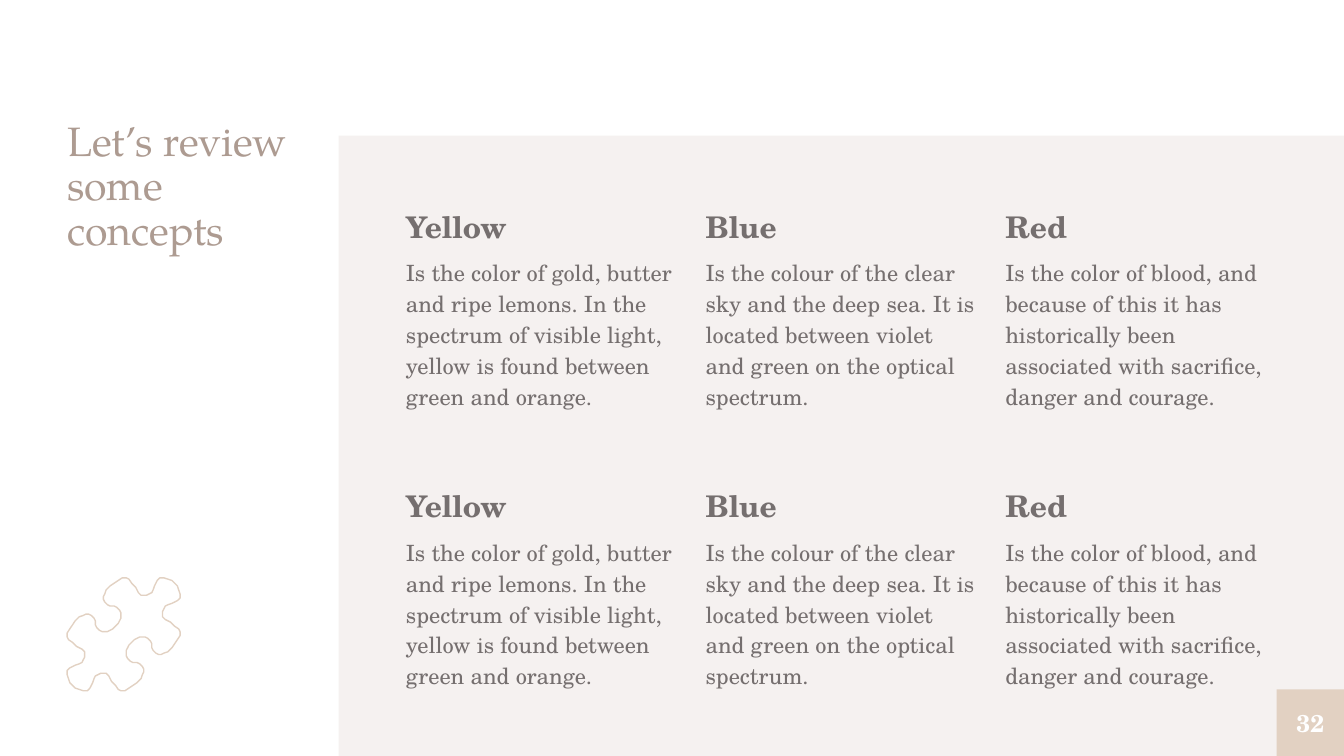
from pptx import Presentation
from pptx.dml.color import RGBColor
from pptx.enum.shapes import MSO_SHAPE
from pptx.enum.text import MSO_ANCHOR, MSO_AUTO_SIZE, PP_ALIGN
from pptx.util import Inches, Pt

RECTANGLE = MSO_SHAPE.RECTANGLE
TOP, MIDDLE = MSO_ANCHOR.TOP, MSO_ANCHOR.MIDDLE
LEFT, CENTER = PP_ALIGN.LEFT, PP_ALIGN.CENTER
NO_FIT = MSO_AUTO_SIZE.NONE

COLORS = {
    "panel": "F5F1F0",
    "title": "AD9B91",
    "text": "756F6F",
    "accent": "E2D1C2",
    "white": "FFFFFF",
}
SERIF, BODY = "TeX Gyre Pagella", "TeX Gyre Schola"

CONCEPTS = [
    ("Yellow", "Is the color of gold, butter and ripe lemons. In the spectrum of "
     "visible light, yellow is found between green and orange."),
    ("Blue", "Is the colour of the clear sky and the deep sea. It is located "
     "between violet and green on the optical spectrum."),
    ("Red", "Is the color of blood, and because of this it has historically been "
     "associated with sacrifice, danger and courage."),
]

PUZZLE_QUARTER = [
    (38, -38), (36, -40), (33, -41), (30, -42), (27, -42), (25, -40), (24, -38),
    (23, -36), (22, -33), (21, -31), (19, -30), (17, -29), (15, -29), (13, -29),
    (11, -31), (9, -35), (6, -38), (4, -41), (2, -42), (0, -42), (-1, -42),
    (-4, -40), (-7, -38), (-10, -36), (-13, -33), (-14, -30), (-15, -28),
    (-15, -26), (-14, -24), (-12, -22), (-10, -21), (-7, -21), (-5, -20),
    (-3, -18), (-2, -16), (-2, -14), (-2, -12), (-3, -10), (-4, -8), (-6, -6),
]


def set_text(shape, paragraphs, anchor=TOP):
    frame = shape.text_frame
    settings = {"margin_left": 0, "margin_top": 0, "margin_right": 0,
                "margin_bottom": 0, "word_wrap": True, "auto_size": NO_FIT,
                "vertical_anchor": anchor}
    for name, value in settings.items():
        setattr(frame, name, value)
    for index, (text, color, layout, font) in enumerate(paragraphs):
        para = frame.add_paragraph() if index else frame.paragraphs[0]
        for name, value in layout.items():
            setattr(para, name, value)
        span = para.add_run()
        span.text = text
        for name, value in font.items():
            setattr(span.font, name, value)
        span.font.color.rgb = RGBColor.from_string(COLORS[color])


def add_block(page, left, top, width, height, color):
    block = page.shapes.add_shape(
        RECTANGLE, Inches(left), Inches(top), Inches(width), Inches(height))
    block.shadow.inherit = False
    block.fill.solid()
    block.fill.fore_color.rgb = RGBColor.from_string(COLORS[color])
    block.line.fill.background()
    return block


deck = Presentation()
deck.slide_width = Inches(10)
deck.slide_height = Inches(10 * 9 / 16)
page = deck.slides.add_slide(deck.slide_layouts[5])

add_block(page, 2.52, 1.01, 7.48, 4.62, "panel")

title = page.shapes.title
title.left, title.top = Inches(0.5), Inches(0.9)
title.width, title.height = Inches(1.78), Inches(4.23)
set_text(title, [("Let’s review some concepts", "title",
                  {"alignment": LEFT, "line_spacing": 0.9, "space_before": Pt(0)},
                  {"name": SERIF, "size": Pt(22), "bold": False})])

half = PUZZLE_QUARTER + [(y, x) for x, y in reversed(PUZZLE_QUARTER)]
outline = half + [(-x, -y) for x, y in half]
builder = page.shapes.build_freeform(*outline[0], scale=Inches(0.01))
builder.add_line_segments(outline[1:], close=True)
puzzle = builder.convert_to_shape(Inches(0.92), Inches(4.72))
puzzle.shadow.inherit = False
puzzle.fill.background()
puzzle.line.color.rgb = RGBColor.from_string(COLORS["accent"])
puzzle.line.width = Pt(0.75)

for row in range(2):
    for column, (heading, description) in enumerate(CONCEPTS):
        box = page.shapes.add_textbox(
            Inches(3.02 + 2.23 * column), Inches(1.51 + 2.08 * row),
            Inches(2.02), Inches(1.55))
        set_text(box, [
            (heading, "text", {"line_spacing": 1.15},
             {"name": BODY, "size": Pt(16), "bold": True}),
            (description, "text", {"line_spacing": 1.15, "space_before": Pt(6)},
             {"name": BODY, "size": Pt(12), "bold": False}),
        ])

number = add_block(page, 9.5, 5.13, 0.5, 0.5, "accent")
set_text(number, [("32", "white", {"alignment": CENTER},
                   {"name": BODY, "size": Pt(13), "bold": True})], MIDDLE)

deck.save("out.pptx")
